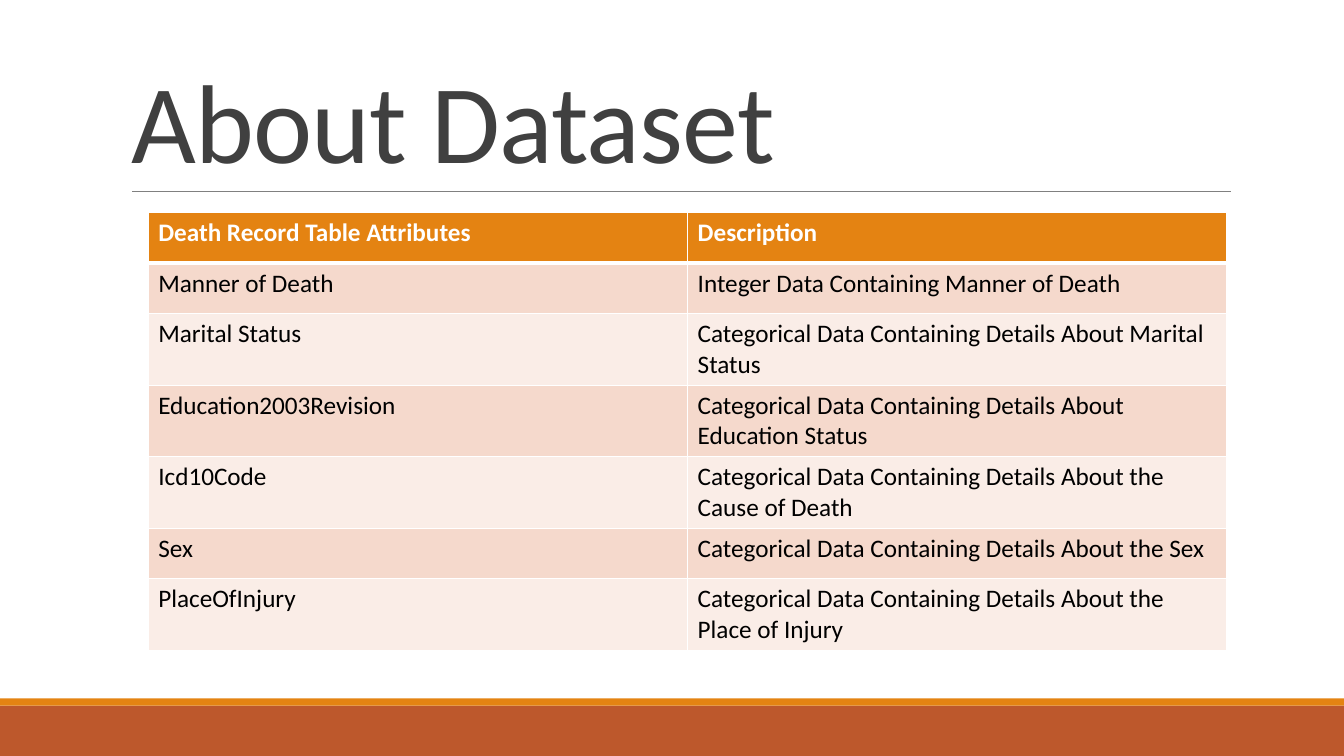
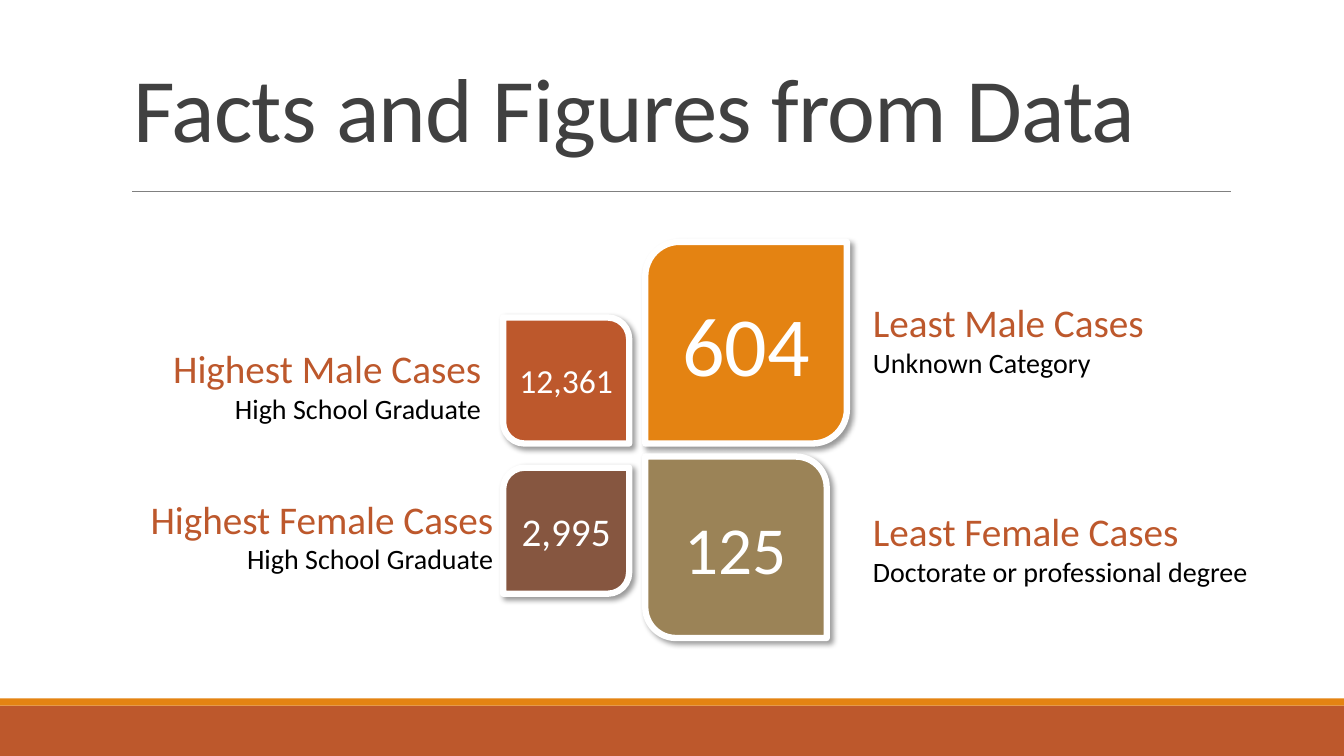
from lxml import etree
from pptx import Presentation
from pptx.dml.color import RGBColor
from pptx.enum import shapes, text
from pptx.oxml.ns import qn
from pptx.util import Inches, Pt

FONT = "Calibri"
WHITE = RGBColor(0xFF, 0xFF, 0xFF)
BLACK = RGBColor(0x00, 0x00, 0x00)
CHARCOAL = RGBColor(0x40, 0x40, 0x40)
GREY = RGBColor(0x80, 0x80, 0x80)
RUST = RGBColor(0xBD, 0x58, 0x2C)
ORANGE = RGBColor(0xE4, 0x83, 0x12)
BROWN = RGBColor(0x86, 0x56, 0x40)
KHAKI = RGBColor(0x9B, 0x83, 0x57)
ROW_DARK = RGBColor(0xF5, 0xD9, 0xCC)
ROW_LIGHT = RGBColor(0xFA, 0xED, 0xE7)
LEFT, CENTER, RIGHT = (text.PP_ALIGN.LEFT, text.PP_ALIGN.CENTER,
                       text.PP_ALIGN.RIGHT)
CORNER = 0.17


def write(p, content, size=18, color=BLACK, bold=False, align=LEFT):
    """Add one formatted run to a paragraph and return the run."""
    p.alignment = align
    r = p.add_run()
    r.text = content
    r.font.name = FONT
    r.font.size = Pt(size)
    r.font.bold = bold
    r.font.color.rgb = color
    return r


def sub(parent, tag, **attrs):
    """Append an XML child with the given attributes."""
    return etree.SubElement(parent, qn(tag),
                            {k: str(v) for k, v in attrs.items()})


def solid(sp, color):
    sp.fill.solid()
    sp.fill.fore_color.rgb = color


def borders(cell, **widths):
    """Draw white cell borders; widths in points by side, 1 by default."""
    tc_pr = cell._tc.get_or_add_tcPr()
    for side in "LRTB":
        ln = sub(tc_pr, f"a:ln{side}", w=Pt(widths.get(side, 1)))
        sub(sub(ln, "a:solidFill"), "a:srgbClr", val=WHITE)


class Deck:
    def __init__(self):
        self.prs = Presentation()
        self.prs.slide_width = Inches(13.33)
        self.prs.slide_height = Inches(7.5)
        self.s = None

    def slide(self, title, size, left, top, width, height):
        """Start a slide with the shared bands, rule and title style."""
        self.s = self.prs.slides.add_slide(self.prs.slide_layouts[5])
        self.band(7, 0.5, RUST)
        self.band(6.93, 0.07, ORANGE)
        self.rule(1.31, 12.21, 1.9)
        sp = self.s.shapes.title
        sp.left, sp.top = Inches(left), Inches(top)
        sp.width, sp.height = Inches(width), Inches(height)
        tf = sp.text_frame
        tf.word_wrap = True
        tf.auto_size = text.MSO_AUTO_SIZE.NONE
        tf.vertical_anchor = text.MSO_ANCHOR.BOTTOM
        p = tf.paragraphs[0]
        p.line_spacing = 0.85
        r = write(p, title, size=size, color=CHARCOAL)
        r.font._element.set("spc", "-50")

    def band(self, top, height, color):
        sp = self.s.shapes.add_shape(shapes.MSO_SHAPE.RECTANGLE, 0, Inches(top),
                                     self.prs.slide_width, Inches(height))
        sp.shadow.inherit = False
        solid(sp, color)
        sp.line.fill.background()

    def rule(self, x1, x2, y):
        line = self.s.shapes.add_connector(shapes.MSO_CONNECTOR.STRAIGHT,
                                           Inches(x1), Inches(y),
                                           Inches(x2), Inches(y))
        line.line.color.rgb = GREY
        line.line.width = Pt(0.5)
        sub(line._element.spPr, "a:effectLst")

    def table(self, rows, left, top, col_width, row_height):
        cols = len(rows[0])
        table = self.s.shapes.add_table(
            len(rows), cols, Inches(left), Inches(top),
            Inches(col_width * cols), Inches(row_height * len(rows))).table
        for col in table.columns:
            col.width = Inches(col_width)
        for i, row in enumerate(rows):
            header = i == 0
            fill = ORANGE if header else ROW_DARK if i % 2 else ROW_LIGHT
            for j, content in enumerate(row):
                cell = table.cell(i, j)
                borders(cell, B=3 if header else 1, T=3 if i == 1 else 1)
                solid(cell, fill)
                write(cell.text_frame.paragraphs[0], content, bold=header,
                      color=WHITE if header else BLACK)

    def leaf(self, value, left, top, side, color, size, mirrored=False):
        """Square with two opposite round corners and a soft shadow."""
        sp = self.s.shapes.add_shape(
            shapes.MSO_SHAPE.ROUND_2_DIAG_RECTANGLE,
            Inches(left), Inches(top), Inches(side), Inches(side))
        sp.adjustments[0] = 0 if mirrored else CORNER
        sp.adjustments[1] = CORNER if mirrored else 0
        solid(sp, color)
        sp.line.color.rgb = WHITE
        sp.line.width = Pt(4.5)
        sp.shadow.inherit = False
        effects = sp._element.spPr.find(qn("a:effectLst"))
        shadow = sub(effects, "a:outerShdw", blurRad=Pt(4), dist=Pt(3),
                     dir=45 * 60000, algn="tl", rotWithShape=0)
        sub(sub(shadow, "a:srgbClr", val=BLACK), "a:alpha", val=40000)
        tf = sp.text_frame
        tf.word_wrap = True
        tf.vertical_anchor = text.MSO_ANCHOR.MIDDLE
        write(tf.paragraphs[0], value, size=size, color=WHITE, align=CENTER)

    def caption(self, heading, detail, left, top, width, align=LEFT):
        sp = self.s.shapes.add_textbox(Inches(left), Inches(top),
                                       Inches(width), Inches(0.91))
        tf = sp.text_frame
        tf.word_wrap = True
        tf.auto_size = text.MSO_AUTO_SIZE.SHAPE_TO_FIT_TEXT
        write(tf.paragraphs[0], heading, size=28, color=RUST, align=align)
        write(tf.add_paragraph(), detail, size=20, align=align)


def main():
    deck = Deck()

    # Dataset attributes
    deck.slide("About Dataset", 80, 1.2, 0.31, 11, 1.59)
    about = "Categorical Data Containing Details About "
    deck.table([
        ("Death Record Table Attributes", "Description"),
        ("Manner of Death", "Integer Data Containing Manner of Death"),
        ("Marital Status", about + "Marital Status"),
        ("Education2003Revision", about + "Education Status"),
        ("Icd10Code", about + "the Cause of Death"),
        ("Sex", about + "the Sex"),
        ("PlaceOfInjury", about + "the Place of Injury"),
    ], left=1.47, top=2.11, col_width=5.35, row_height=0.5)

    # Key figures, each with its caption
    deck.slide("Facts and Figures from Data", 64.8, 1.22, 0.77, 11, 0.88)
    deck.leaf("12,361", 4.99, 3.15, 1.25, RUST, 24, mirrored=True)
    deck.caption("Highest Male Cases", "High School Graduate",
                 1.4, 3.37, 3.47, RIGHT)
    deck.leaf("2,995", 4.99, 4.64, 1.25, BROWN, 28)
    deck.caption("Highest Female Cases", "High School Graduate",
                 1.22, 4.86, 3.77, RIGHT)
    deck.leaf("604", 6.4, 2.4, 2, ORANGE, 60)
    deck.caption("Least Male Cases", "Unknown Category", 8.56, 2.91, 3.47)
    deck.leaf("125", 6.4, 4.53, 1.8, KHAKI, 48, mirrored=True)
    deck.caption("Least Female Cases", "Doctorate or professional degree",
                 8.56, 4.98, 4)

    deck.prs.save("out.pptx")


if __name__ == "__main__":
    main()
